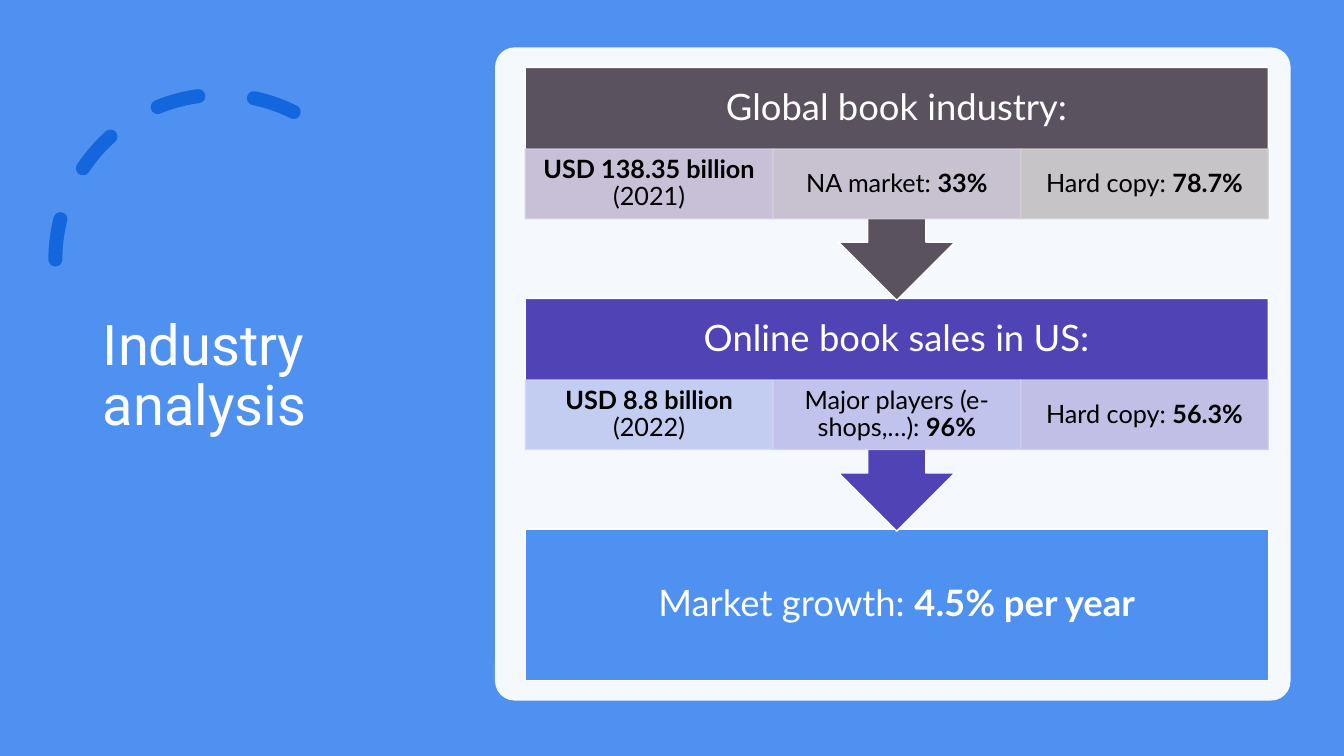
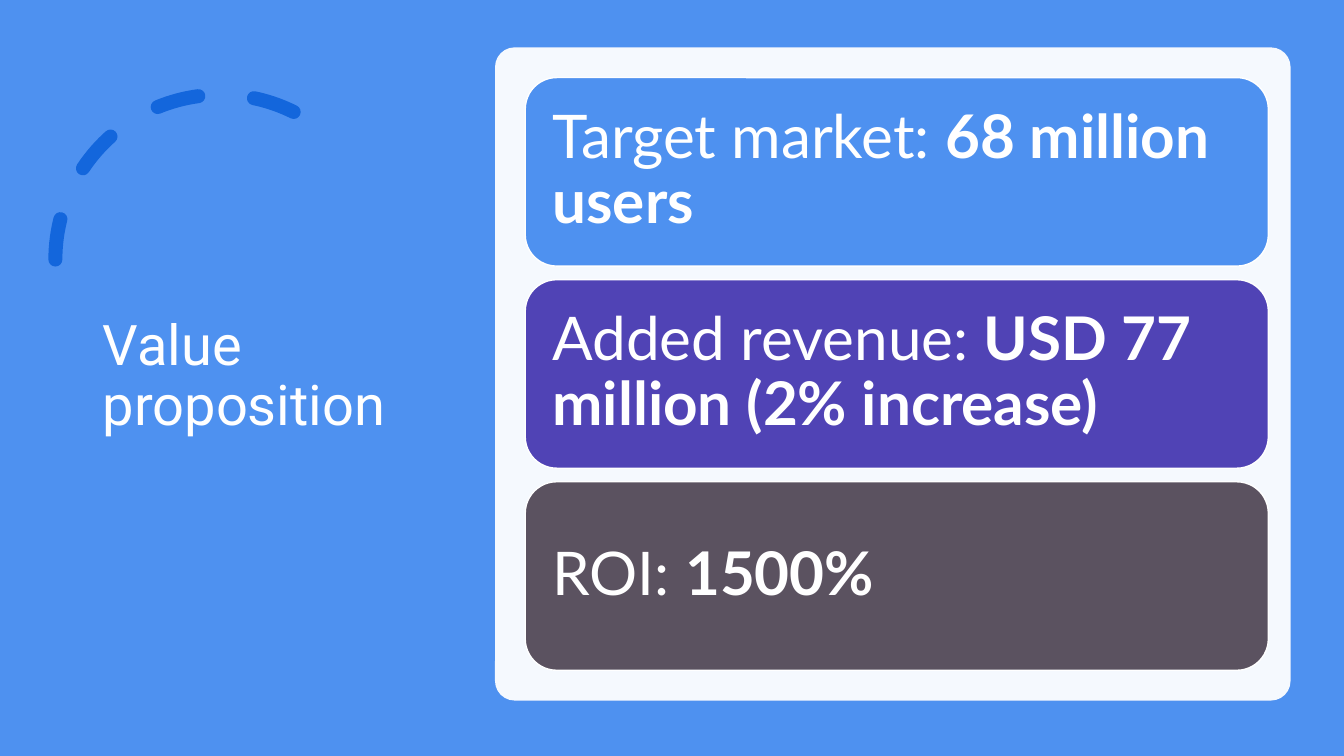
import pptx
import pptx.util
import pptx.dml.color
import pptx.enum.dml
import pptx.enum.shapes
import pptx.enum.text
import pptx.oxml
import pptx.oxml.ns

Inches = pptx.util.Inches
Pt = pptx.util.Pt
RGBColor = pptx.dml.color.RGBColor
Shape = pptx.enum.shapes.MSO_SHAPE
Align = pptx.enum.text.PP_ALIGN
qn = pptx.oxml.ns.qn

BLUE = RGBColor(0x4E, 0x91, 0xF0)
DEEP_BLUE = RGBColor(0x13, 0x66, 0xDC)
PURPLE = RGBColor(0x50, 0x43, 0xB5)
PLUM = RGBColor(0x5B, 0x52, 0x60)
WHITE = RGBColor(0xFF, 0xFF, 0xFF)
BLACK = RGBColor(0, 0, 0)
LILAC = RGBColor(0xD3, 0xCD, 0xE5)
MAUVE = RGBColor(0xD4, 0xCE, 0xDC)
SILVER = RGBColor(0xD2, 0xD1, 0xD2)
ICE = RGBColor(0xD0, 0xDC, 0xF9)
PERIWINKLE = RGBColor(0xCE, 0xD2, 0xF4)
LAVENDER = RGBColor(0xCF, 0xCD, 0xED)

INDUSTRY_STAGES = [
    (PLUM, [("Global book industry:", False)], [
        (LILAC, [("USD 138.35 billion", True), (" (2021)", False)]),
        (MAUVE, [("NA market: ", False), ("33%", True)]),
        (SILVER, [("Hard copy: ", False), ("78.7%", True)]),
    ]),
    (PURPLE, [("Online book sales in US:", False)], [
        (ICE, [("USD 8.8 billion", True), (" (2022)", False)]),
        (PERIWINKLE, [("Major players (e-shops,…): ", False), ("96%", True)]),
        (LAVENDER, [("Hard copy: ", False), ("56.3%", True)]),
    ]),
    (BLUE, [("Market growth: ", False), ("4.5% per year", True)], []),
]
VALUE_CARDS = [
    (BLUE, [("Target market: ", False), ("68 million users", True)]),
    (PURPLE, [("Added revenue: ", False), ("USD 77 million (2% increase)", True)]),
    (PLUM, [("ROI: ", False), ("1500%", True)]),
]

SLIDE_WIDTH, SLIDE_HEIGHT = 13.33, 7.5
TITLE_AREA = (0.92, 0.7, 3.23, 6.09)
ARC_AREA = (0.55, 0.94, 3.27, 3.27)
PANEL_AREA = (4.91, 0.47, 7.89, 6.48)
CONTENT_LEFT, CONTENT_WIDTH = 5.21, 7.37
STAGE_TOP, STAGE_PITCH = 0.67, 2.29
STAGE_HEIGHT, CALLOUT_HEIGHT = 1.5, 2.31
HEADER_HEIGHT, CELL_HEIGHT = 0.81, 0.69
CARD_TOP, CARD_BOTTOM, CARD_HEIGHT = 0.77, 6.65, 1.87

TITLE_STYLE = {"name": "Roboto", "size": Pt(40)}
STAGE_STYLE = {"name": "Lato", "size": Pt(26)}
CELL_STYLE = {"name": "Lato", "size": Pt(18)}
CARD_STYLE = {"name": "Lato", "size": Pt(43)}


def set_attributes(target, values):
    for name, value in values.items():
        setattr(target, name, value)


def add_box(page, kind, area, fill=None, line=None, line_width=1, opacity=None):
    box = page.shapes.add_shape(kind, *map(Inches, area))
    box.shadow.inherit = False
    if fill is None:
        box.fill.background()
    else:
        box.fill.solid()
        box.fill.fore_color.rgb = fill
    if line is None:
        box.line.fill.background()
    else:
        box.line.color.rgb = line
        box.line.width = Pt(line_width)
    if opacity is not None:
        for color in box.element.spPr.iter(qn("a:srgbClr")):
            alpha = pptx.oxml.parse_xml(f'<a:alpha {pptx.oxml.ns.nsdecls("a")} val="{opacity * 1000}"/>')
            color.append(alpha)
    return box


def write(box, spans, style, color, align, margins):
    frame = box.text_frame
    set_attributes(frame, {
        "word_wrap": True,
        "auto_size": pptx.enum.text.MSO_AUTO_SIZE.NONE,
        "vertical_anchor": pptx.enum.text.MSO_ANCHOR.MIDDLE,
    })
    for side, margin in zip(("left", "top", "right", "bottom"), margins):
        setattr(frame, f"margin_{side}", Inches(margin))
    para = frame.paragraphs[0]
    set_attributes(para, {"alignment": align, "line_spacing": 0.9})
    for text, bold in spans:
        span = para.add_run()
        span.text = text
        set_attributes(span.font, {**style, "bold": bold})
        span.font.color.rgb = color


def add_page(deck, title):
    page = deck.slides.add_slide(deck.slide_layouts[5])
    page.background.fill.solid()
    page.background.fill.fore_color.rgb = BLUE

    arc = add_box(page, Shape.ARC, ARC_AREA, line=DEEP_BLUE, line_width=10)
    arc.adjustments[0] = 146.13
    arc.adjustments[1] = 0
    arc.line.dash_style = pptx.enum.dml.MSO_LINE.DASH
    properties = arc.element.spPr
    properties.find(qn("a:xfrm")).set("flipH", "1")
    properties.find(qn("a:ln")).set("cap", "rnd")

    heading = page.shapes.title
    set_attributes(heading, dict(zip(("left", "top", "width", "height"), map(Inches, TITLE_AREA))))
    write(heading, [(title, False)], TITLE_STYLE, WHITE, Align.LEFT, (0.1, 0.05, 0.1, 0.05))

    panel = add_box(page, Shape.ROUNDED_RECTANGLE, PANEL_AREA, WHITE, opacity=95)
    panel.adjustments[0] = 0.03
    return page


def build_industry(deck):
    page = add_page(deck, "Industry analysis")
    for index, (fill, heading, cells) in reversed(list(enumerate(INDUSTRY_STAGES))):
        top = STAGE_TOP + index * STAGE_PITCH
        kind = Shape.DOWN_ARROW_CALLOUT if cells else Shape.RECTANGLE
        height = CALLOUT_HEIGHT if cells else STAGE_HEIGHT
        bottom_margin = 0.2 + (CELL_HEIGHT if cells else 0)
        stage = add_box(page, kind, (CONTENT_LEFT, top, CONTENT_WIDTH, height), fill, WHITE)
        write(stage, heading, STAGE_STYLE, WHITE, Align.CENTER, (0.2, 0.2, 0.2, bottom_margin))
        for column, (tint, spans) in enumerate(cells):
            width = CONTENT_WIDTH / len(cells)
            area = (CONTENT_LEFT + column * width, top + HEADER_HEIGHT, width, CELL_HEIGHT)
            cell = add_box(page, Shape.RECTANGLE, area, tint, tint, opacity=90)
            write(cell, spans, CELL_STYLE, BLACK, Align.CENTER, (0.14, 0.03, 0.14, 0.03))


def build_value(deck):
    page = add_page(deck, "Value proposition")
    pitch = (CARD_BOTTOM - CARD_TOP - CARD_HEIGHT) / (len(VALUE_CARDS) - 1)
    for index, (fill, spans) in enumerate(VALUE_CARDS):
        area = (CONTENT_LEFT, CARD_TOP + index * pitch, CONTENT_WIDTH, CARD_HEIGHT)
        card = add_box(page, Shape.ROUNDED_RECTANGLE, area, fill, WHITE)
        write(card, spans, CARD_STYLE, WHITE, Align.LEFT, (0.18,) * 4)


def main():
    deck = pptx.Presentation()
    deck.slide_width = Inches(SLIDE_WIDTH)
    deck.slide_height = Inches(SLIDE_HEIGHT)
    build_industry(deck)
    build_value(deck)
    deck.save("out.pptx")


if __name__ == "__main__":
    main()
